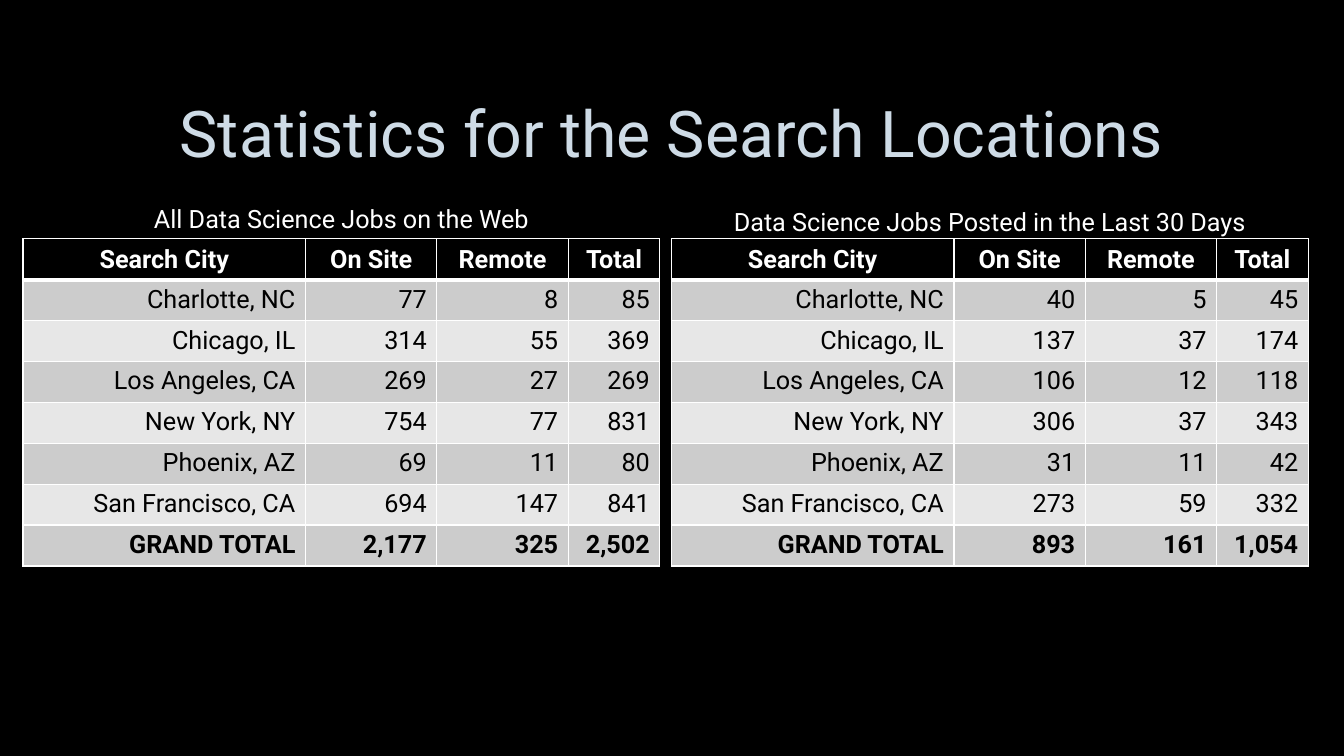
from lxml.etree import SubElement
from pptx import Presentation
from pptx.dml.color import RGBColor
from pptx.enum.text import MSO_ANCHOR, MSO_AUTO_SIZE, PP_ALIGN
from pptx.oxml.ns import qn
from pptx.util import Cm, Pt

BLACK = RGBColor(0x00, 0x00, 0x00)
WHITE = RGBColor(0xFF, 0xFF, 0xFF)
PALE_BLUE = RGBColor(0xCE, 0xDB, 0xE6)
OUTLINE_GREY = RGBColor(0x40, 0x40, 0x40)
BAND_DARK = RGBColor(0xCC, 0xCC, 0xCC)
BAND_LIGHT = RGBColor(0xE7, 0xE7, 0xE7)

FONT = "Roboto"
COLUMN_WIDTHS = [Cm(7.12), Cm(3.31), Cm(3.31), Cm(2.31)]
ROW_HEIGHT = Cm(1.03)
PANEL_WIDTH = sum(COLUMN_WIDTHS)
TABLE_TOP = Cm(6.02)
CAPTION_HEIGHT = Cm(1.02)

HEADER = ("Search City", "On Site", "Remote", "Total")
ALL_JOBS = [
    ("Charlotte, NC", "77", "8", "85"),
    ("Chicago, IL", "314", "55", "369"),
    ("Los Angeles, CA", "269", "27", "269"),
    ("New York, NY", "754", "77", "831"),
    ("Phoenix, AZ", "69", "11", "80"),
    ("San Francisco, CA", "694", "147", "841"),
    ("GRAND TOTAL", "2,177", "325", "2,502"),
]
RECENT_JOBS = [
    ("Charlotte, NC", "40", "5", "45"),
    ("Chicago, IL", "137", "37", "174"),
    ("Los Angeles, CA", "106", "12", "118"),
    ("New York, NY", "306", "37", "343"),
    ("Phoenix, AZ", "31", "11", "42"),
    ("San Francisco, CA", "273", "59", "332"),
    ("GRAND TOTAL", "893", "161", "1,054"),
]


def write(frame, text, size, color, align, bold=False):
    """Put one formatted run in the frame's first paragraph and return it."""
    para = frame.paragraphs[0]
    para.alignment = align
    span = para.add_run()
    span.text = text
    span.font.name = FONT
    span.font.size = Pt(size)
    span.font.bold = bold
    span.font.color.rgb = color
    return span


def add_solid_line(parent, tag, color, width):
    line = SubElement(parent, qn(tag), w=str(Pt(width)))
    fill = SubElement(line, qn("a:solidFill"))
    return SubElement(fill, qn("a:srgbClr"), val=str(color))


def place_title(page, left, top, width, height):
    box = page.shapes.title
    box.left, box.top, box.width, box.height = left, top, width, height
    frame = box.text_frame
    frame.vertical_anchor = MSO_ANCHOR.MIDDLE
    span = write(frame, "Statistics for the Search Locations", 46, PALE_BLUE, PP_ALIGN.CENTER)
    frame.paragraphs[0].line_spacing = 0.9
    properties = span.font._element
    color = add_solid_line(properties, "a:ln", OUTLINE_GREY, 0.75)
    SubElement(color, qn("a:alpha"), val="10000")
    properties.insert(0, properties.find(qn("a:ln")))


def add_caption(page, text, left, top, width):
    box = page.shapes.add_textbox(left, top, width, CAPTION_HEIGHT)
    frame = box.text_frame
    frame.word_wrap = True
    frame.auto_size = MSO_AUTO_SIZE.SHAPE_TO_FIT_TEXT
    write(frame, text, 18, WHITE, PP_ALIGN.CENTER)


def format_cell(cell, text, row, last_row):
    is_header = row == 0
    properties = cell._tc.get_or_add_tcPr()
    widths = {"a:lnL": 1, "a:lnR": 1, "a:lnT": 3 if row == 1 else 1, "a:lnB": 3 if is_header else 1}
    for tag, width in widths.items():
        add_solid_line(properties, tag, WHITE, width)
    cell.fill.solid()
    if is_header:
        cell.fill.fore_color.rgb = BLACK
        cell.vertical_anchor = MSO_ANCHOR.BOTTOM
        write(cell.text_frame, text, 18, WHITE, PP_ALIGN.CENTER, True)
    else:
        cell.fill.fore_color.rgb = BAND_DARK if row % 2 else BAND_LIGHT
        write(cell.text_frame, text, 18, BLACK, PP_ALIGN.RIGHT, row == last_row)


def add_city_table(page, records, left, top):
    rows = [HEADER, *records]
    table = page.shapes.add_table(
        len(rows), len(HEADER), left, top, PANEL_WIDTH, ROW_HEIGHT * len(rows)
    ).table
    for column, width in zip(table.columns, COLUMN_WIDTHS):
        column.width = width
    for row, texts in enumerate(rows):
        table.rows[row].height = ROW_HEIGHT
        for column, text in enumerate(texts):
            format_cell(table.cell(row, column), text, row, len(records))


def add_panel(page, caption, records, left, caption_top):
    add_caption(page, caption, left, caption_top, PANEL_WIDTH)
    add_city_table(page, records, left, TABLE_TOP)


def main():
    deck = Presentation()
    deck.slide_width, deck.slide_height = Cm(33.87), Cm(19.05)
    page = deck.slides.add_slide(deck.slide_layouts[5])
    page.background.fill.solid()
    page.background.fill.fore_color.rgb = BLACK

    place_title(page, Cm(2.54), Cm(1.7), Cm(28.75), Cm(3.51))
    add_panel(page, "All Data Science Jobs on the Web", ALL_JOBS, Cm(0.58), Cm(5))
    add_panel(page, "Data Science Jobs Posted in the Last 30 Days", RECENT_JOBS, Cm(16.92), Cm(5.08))
    deck.save("out.pptx")


if __name__ == "__main__":
    main()
